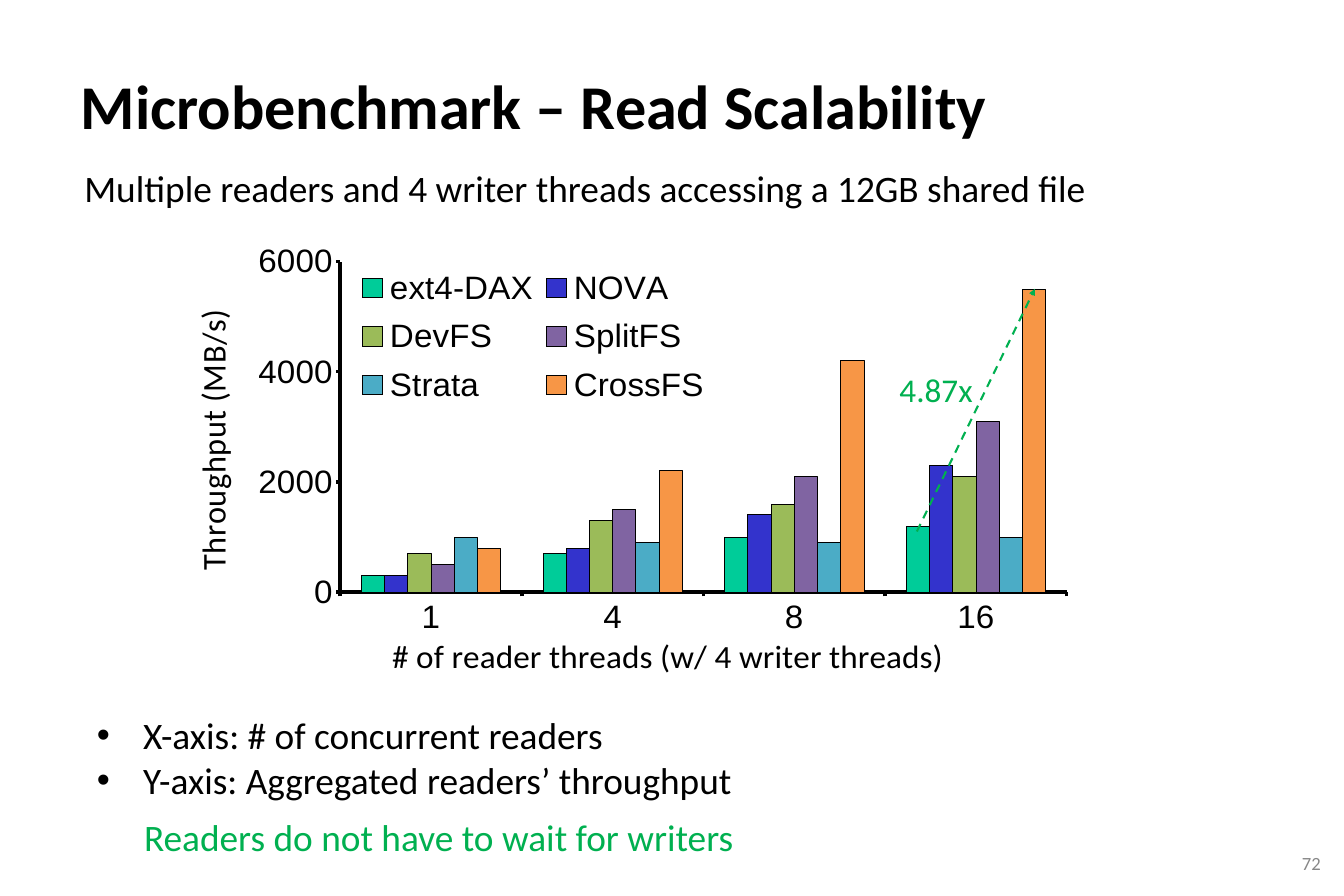
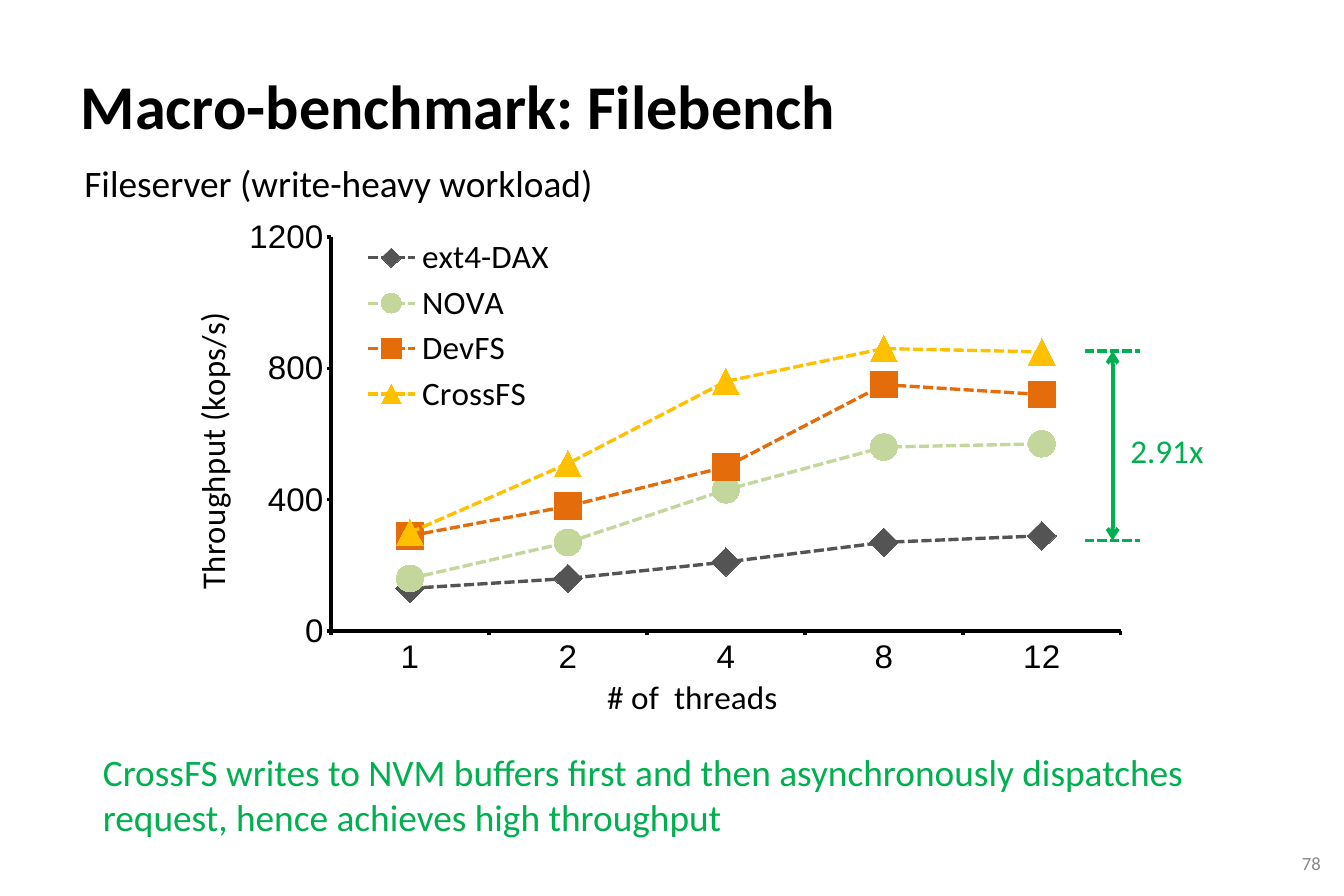
from dataclasses import dataclass

from lxml import etree
from pptx import Presentation
from pptx import util as u
from pptx.chart.data import CategoryChartData
from pptx.dml.color import RGBColor
from pptx.enum import chart as charts
from pptx.enum import dml, shapes, text
from pptx.oxml.ns import qn

BLACK, GREEN, GRAY = "000000", "00B050", "888888"
BODY_FONT, CHART_FONT = "Calibri", "Arial"


@dataclass
class Label:
    words: str
    left: float
    top: float
    width: float
    height: float
    size: int = 36
    color: str = BLACK
    bold: bool = False
    bullets: bool = False
    spacing: float = 1.0
    inset_x: float = 0.25
    inset_y: float = 0.13
    align: text.PP_ALIGN = text.PP_ALIGN.LEFT
    anchor: text.MSO_ANCHOR = text.MSO_ANCHOR.TOP


@dataclass
class Line:
    x1: float
    y1: float
    x2: float
    y2: float
    width: float
    dash: dml.MSO_LINE | None = None
    head: str = ""
    tail: str = ""


@dataclass
class Series:
    name: str
    color: str
    values: tuple[int, ...]
    marker: charts.XL_MARKER_STYLE | None = None
    marker_size: int = 26


@dataclass
class Graph:
    kind: charts.XL_CHART_TYPE
    box: tuple[float, ...]
    categories: tuple[str, ...]
    series: tuple[Series, ...]
    x_title: str
    y_title: str
    maximum: int
    step: int
    legend_font: str
    plot_area: tuple[float, ...]
    legend_area: tuple[float, ...]
    x_title_at: tuple[float, ...]
    y_title_at: tuple[float, ...]


@dataclass
class Content:
    title: str
    number: str
    subtitle: Label
    graph: Graph
    notes: tuple[Label, ...]
    lines: tuple[Line, ...]
    speedup: Label


def paint(color_format, value: str) -> None:
    color_format.rgb = RGBColor.from_string(value)


def style_font(font, size: int, color: str = BLACK, name: str = BODY_FONT, bold: bool = False) -> None:
    font.size, font.name, font.bold = u.Pt(size), name, bold
    paint(font.color, color)


def add_bullet(para) -> None:
    properties = para._p.get_or_add_pPr()
    properties.set("marL", str(u.Cm(1.57)))
    properties.set("indent", str(-u.Cm(1.57)))
    etree.SubElement(properties, qn("a:buFont"), typeface="Arial")
    etree.SubElement(properties, qn("a:buChar"), char="•")


def add_label(parent, label: Label) -> None:
    box = parent.add_textbox(u.Cm(label.left), u.Cm(label.top), u.Cm(label.width), u.Cm(label.height))
    frame = box.text_frame
    frame.word_wrap = True
    frame.vertical_anchor = label.anchor
    frame.margin_left = frame.margin_right = u.Cm(label.inset_x)
    frame.margin_top = frame.margin_bottom = u.Cm(label.inset_y)
    frame.text = label.words
    for para in frame.paragraphs:
        para.alignment = label.align
        para.line_spacing = label.spacing
        if label.bullets:
            add_bullet(para)
        for span in para.runs:
            style_font(span.font, label.size, label.color, bold=label.bold)


def add_line(parent, line: Line) -> None:
    connector = parent.add_connector(
        shapes.MSO_CONNECTOR.STRAIGHT, u.Cm(line.x1), u.Cm(line.y1), u.Cm(line.x2), u.Cm(line.y2))
    paint(connector.line.color, GREEN)
    connector.line.width = u.Pt(line.width)
    if line.dash:
        connector.line.dash_style = line.dash
    properties = connector._element.spPr
    stroke = properties.find(qn("a:ln"))
    for tag, end in (("a:headEnd", line.head), ("a:tailEnd", line.tail)):
        if end:
            etree.SubElement(stroke, qn(tag), type=end)
    etree.SubElement(properties, qn("a:effectLst"))


def place(chart, query: str, area: tuple[float, ...], inner: bool = False) -> None:
    target = chart.element.xpath(query)[0]
    for old in target.findall(qn("c:layout")):
        target.remove(old)
    layout = etree.Element(qn("c:layout"))
    manual = etree.SubElement(layout, qn("c:manualLayout"))
    if inner:
        etree.SubElement(manual, qn("c:layoutTarget"), val="inner")
    for tag in ("xMode", "yMode"):
        etree.SubElement(manual, qn(f"c:{tag}"), val="edge")
    for tag, value in zip("xywh", area):
        etree.SubElement(manual, qn(f"c:{tag}"), val=str(value))
    overlay = target.find(qn("c:overlay"))
    if overlay is None:
        target.insert(0, layout)
    else:
        overlay.addprevious(layout)


def style_axis(axis, title: str) -> None:
    axis.has_major_gridlines = False
    axis.major_tick_mark = charts.XL_TICK_MARK.OUTSIDE
    axis.minor_tick_mark = charts.XL_TICK_MARK.NONE
    axis.format.line.width = u.Pt(3.25)
    paint(axis.format.line.color, BLACK)
    style_font(axis.tick_labels.font, 32, name=CHART_FONT)
    frame = axis.axis_title.text_frame
    frame.text = title
    style_font(frame.paragraphs[0].runs[0].font, 32)


def style_series(item, series: Series) -> None:
    line = item.format.line
    if series.marker is None:
        item.format.fill.solid()
        paint(item.format.fill.fore_color, series.color)
        paint(line.color, BLACK)
        line.width = u.Pt(0.75)
        return
    item.smooth = False
    paint(line.color, series.color)
    line.width = u.Pt(3.25)
    line.dash_style = dml.MSO_LINE.SQUARE_DOT
    item.marker.style = series.marker
    item.marker.size = series.marker_size
    item.marker.format.fill.solid()
    paint(item.marker.format.fill.fore_color, series.color)
    item.marker.format.line.fill.background()


def add_graph(page, graph: Graph) -> None:
    data = CategoryChartData(number_format="0")
    data.categories = graph.categories
    for series in graph.series:
        data.add_series(series.name, series.values)
    chart = page.shapes.add_chart(graph.kind, *map(u.Cm, graph.box), data).chart
    chart.has_title = False
    style_font(chart.font, 12, name=CHART_FONT)
    style_axis(chart.category_axis, graph.x_title)
    values = chart.value_axis
    style_axis(values, graph.y_title)
    values.minimum_scale, values.maximum_scale, values.major_unit = 0, graph.maximum, graph.step
    rotation = values.axis_title.text_frame._txBody.find(qn("a:bodyPr"))
    rotation.set("rot", "-5400000")
    rotation.set("vert", "horz")
    plot = chart.plots[0]
    plot.vary_by_categories = False
    if graph.kind == charts.XL_CHART_TYPE.COLUMN_CLUSTERED:
        plot.gap_width, plot.overlap = 182, 0
    for item, series in zip(plot.series, graph.series):
        style_series(item, series)
    chart.has_legend = True
    chart.legend.position = charts.XL_LEGEND_POSITION.BOTTOM
    chart.legend.include_in_layout = False
    style_font(chart.legend.font, 32, name=graph.legend_font)
    place(chart, ".//c:plotArea", graph.plot_area, inner=True)
    place(chart, ".//c:legend", graph.legend_area)
    place(chart, ".//c:catAx/c:title", graph.x_title_at)
    place(chart, ".//c:valAx/c:title", graph.y_title_at)


def add_page(deck, content: Content) -> None:
    page = deck.slides.add_slide(deck.slide_layouts[6])
    add_label(page.shapes, Label(
        content.number, 43.99, 28.83, 1.09, 1.07, 18, GRAY, inset_x=0.15, inset_y=0.15,
        align=text.PP_ALIGN.RIGHT, anchor=text.MSO_ANCHOR.MIDDLE))
    add_label(page.shapes, Label(
        content.title, 2.62, 1.12, 40.11, 3.2, 60, bold=True, spacing=1.41, inset_x=0.13))
    add_graph(page, content.graph)
    for label in (content.subtitle, *content.notes):
        add_label(page.shapes, label)
    group = page.shapes.add_group_shape()
    for line in content.lines:
        add_line(group.shapes, line)
    add_label(group.shapes, content.speedup)


READ = Content(
    "Microbenchmark – Read Scalability", "72",
    Label("Multiple readers and 4 writer threads accessing a 12GB shared file", 2.62, 5.49, 39.65, 1.8),
    Graph(
        charts.XL_CHART_TYPE.COLUMN_CLUSTERED, (5.94, 8, 31.29, 15.37), ("1", "4", "8", "16"),
        (Series("ext4-DAX", "00CC99", (300, 700, 1000, 1200)),
         Series("NOVA", "3333CC", (300, 800, 1400, 2300)),
         Series("DevFS", "9BBB59", (700, 1300, 1600, 2100)),
         Series("SplitFS", "8064A2", (500, 1500, 2100, 3100)),
         Series("Strata", "4BACC6", (1000, 900, 900, 1000)),
         Series("CrossFS", "F79646", (800, 2200, 4200, 5500))),
        "# of reader threads (w/ 4 writer threads)", "Throughput (MB/s)", 6000, 2000, CHART_FONT,
        (0.18, 0.06, 0.79, 0.75), (0.19, 0.05, 0.4, 0.36), (0.23, 0.89), (0.01, 0.17)),
    (Label("X-axis: # of concurrent readers\nY-axis: Aggregated readers’ throughput",
           3.05, 24.1, 22.81, 3.33, bullets=True),
     Label("Readers do not have to wait for writers", 4.65, 27.56, 24.84, 1.8, color=GREEN)),
    (Line(31.19, 18.08, 35.2, 9.83, 2, dml.MSO_LINE.DASH, tail="triangle"),),
    Label("4.87x", 30.35, 12.45, 3.99, 1.63, 32, GREEN))

FILEBENCH = Content(
    "Macro-benchmark: Filebench", "78",
    Label("Fileserver (write-heavy workload)", 2.62, 5.33, 39.65, 1.8),
    Graph(
        charts.XL_CHART_TYPE.LINE_MARKERS, (4.5, 6.86, 34.67, 17.91), ("1", "2", "4", "8", "12"),
        (Series("ext4-DAX", "545454", (130, 160, 210, 270, 290), charts.XL_MARKER_STYLE.DIAMOND, 28),
         Series("NOVA", "C3D69B", (160, 270, 430, 560, 570), charts.XL_MARKER_STYLE.CIRCLE),
         Series("DevFS", "E46C0A", (290, 380, 500, 750, 720), charts.XL_MARKER_STYLE.SQUARE),
         Series("CrossFS", "FFC000", (300, 510, 760, 860, 850), charts.XL_MARKER_STYLE.TRIANGLE)),
        "# of  threads", "Throughput (kops/s)", 1200, 400, BODY_FONT,
        (0.195, 0.068, 0.775, 0.761), (0.22, 0.06, 0.2, 0.36), (0.46, 0.9), (0.05, 0.21)),
    (Label("CrossFS writes to NVM buffers first and then asynchronously dispatches request, "
           "hence achieves high throughput", 3.25, 25.37, 37.97, 3.33, color=GREEN),),
    (*(Line(36.91, y, 38.79, y, 3, dml.MSO_LINE.SQUARE_DOT) for y in (11.94, 18.39)),
     Line(37.85, 11.94, 37.85, 18.39, 3.75, head="arrow", tail="arrow")),
    Label("2.91x", 38.2, 14.5, 3.02, 1.63, 32, GREEN))


def main() -> None:
    deck = Presentation()
    deck.slide_width, deck.slide_height = u.Cm(45.72), u.Cm(30.48)
    for content in (READ, FILEBENCH):
        add_page(deck, content)
    deck.save("out.pptx")


if __name__ == "__main__":
    main()
